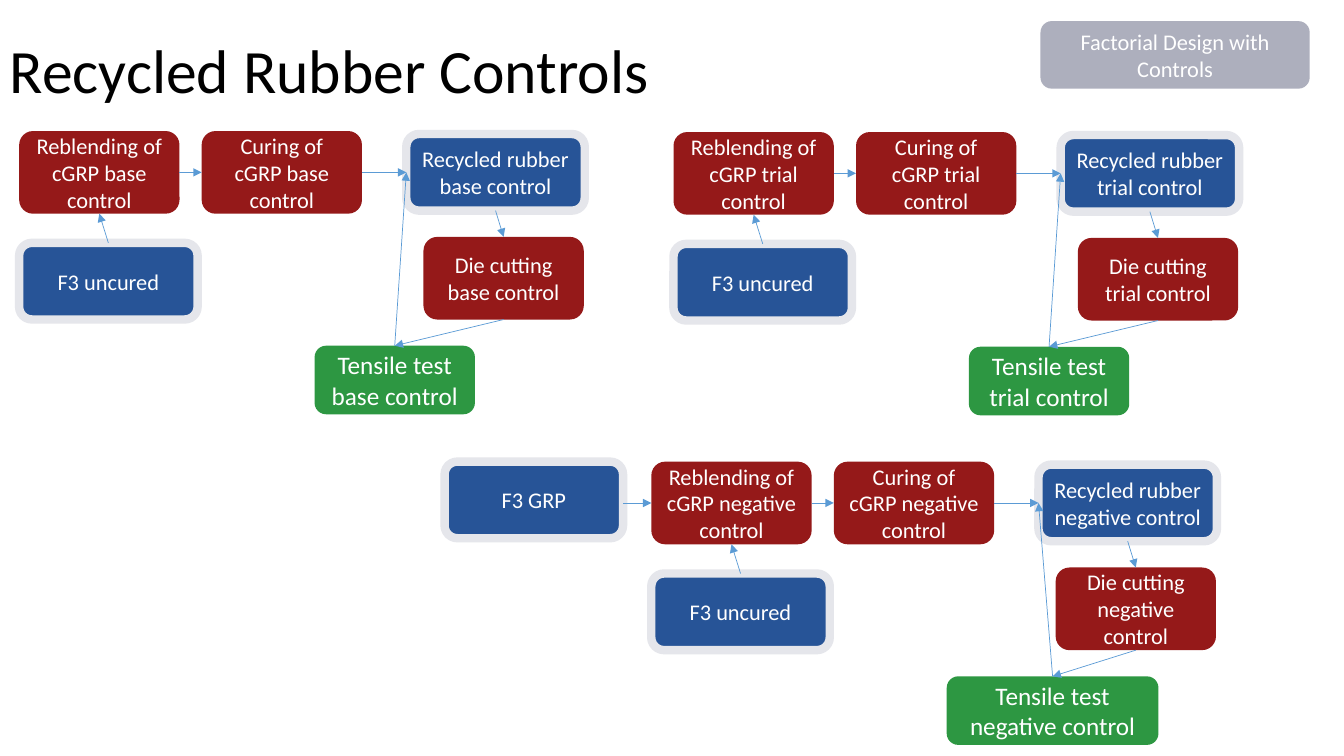
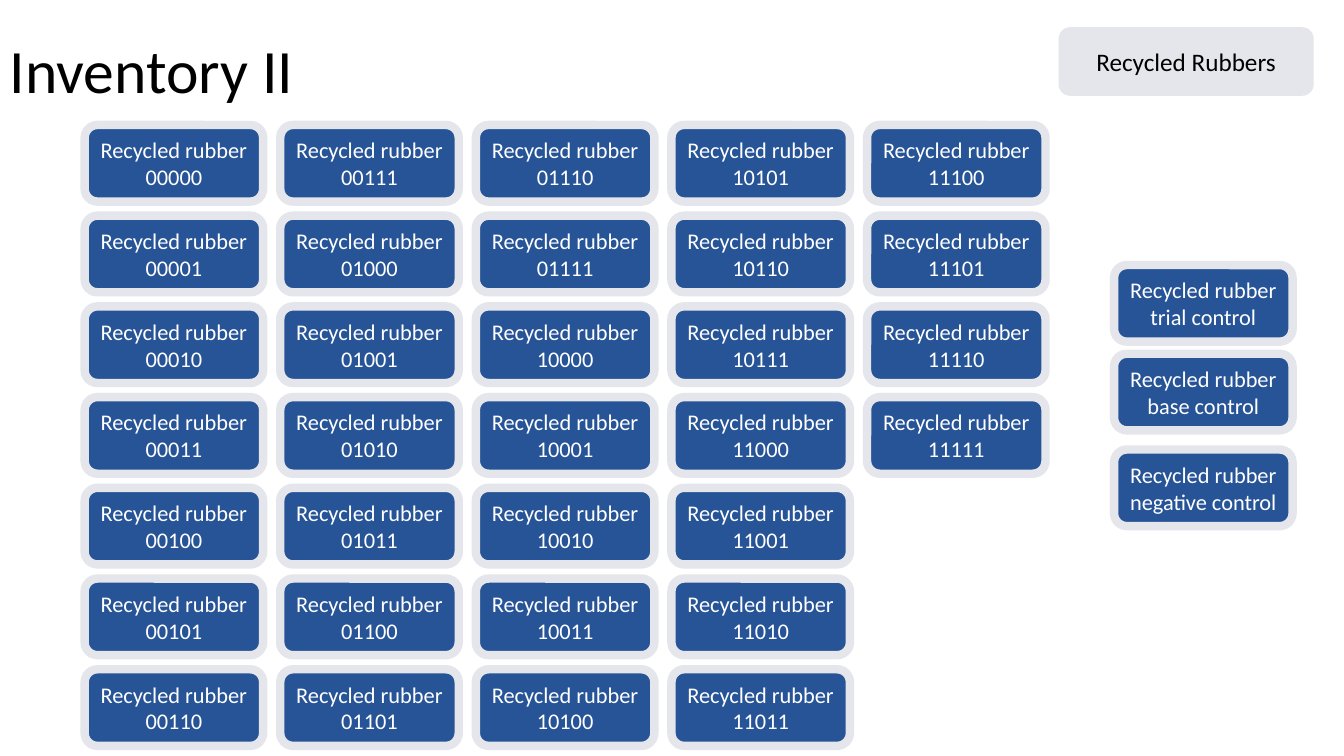
"""Build two slides on recycled rubber: the control process flows and the inventory."""
from lxml.etree import SubElement
from pptx import Presentation
from pptx.dml.color import RGBColor
from pptx.enum.shapes import MSO_CONNECTOR, MSO_SHAPE
from pptx.enum.text import MSO_ANCHOR, PP_ALIGN
from pptx.oxml.ns import qn
from pptx.util import Pt

PX = 9144
FONT = "Calibri"
COLORS = {
    "process": "951919",
    "material": "275497",
    "halo": "E5E6EB",
    "test": "2D9742",
    "design": "ADAFBD",
    "arrow": "5B9BD5",
    "light": "FFFFFF",
    "dark": "000000",
}
TOP, LEFT, BOTTOM, RIGHT = range(4)
PROCESS_SIZE = (159, 82)
MATERIAL_SIZE = (177, 76)


def add_box(page, text, position, size, kind, text_color="light", points=16):
    """Add a rounded box with centred text; materials get a pale halo."""
    box = page.shapes.add_shape(
        MSO_SHAPE.ROUNDED_RECTANGLE, *(value * PX for value in (*position, *size)))
    box.shadow.inherit = False
    box.fill.solid()
    box.fill.fore_color.rgb = RGBColor.from_string(COLORS[kind])
    if kind == "material":
        box.line.color.rgb = RGBColor.from_string(COLORS["halo"])
        box.line.width = Pt(6)
    else:
        box.line.fill.background()
    frame = box.text_frame
    frame.word_wrap = True
    frame.vertical_anchor = MSO_ANCHOR.MIDDLE
    para = frame.paragraphs[0]
    para.text = text
    para.alignment = PP_ALIGN.CENTER
    para.font.name = FONT
    para.font.size = Pt(points)
    para.font.color.rgb = RGBColor.from_string(COLORS[text_color])
    return box


def add_arrow(page, target, target_side, source=None, source_side=TOP, start=(0, 0)):
    """Add an arrow to a box side, from another box side or a free start point."""
    left, top = (value * PX for value in start)
    arrow = page.shapes.add_connector(MSO_CONNECTOR.STRAIGHT, left, top, left, top)
    if source is not None:
        arrow.begin_connect(source, source_side)
    arrow.end_connect(target, target_side)
    arrow.line.color.rgb = RGBColor.from_string(COLORS["arrow"])
    arrow.line.width = Pt(0.5)
    SubElement(arrow.line._get_or_add_ln(), qn("a:tailEnd"), type="triangle")
    SubElement(arrow._element.spPr, qn("a:effectLst"))


deck = Presentation()
deck.slide_width = 1333 * PX
deck.slide_height = 750 * PX

pages = []
for title in ("Recycled Rubber Controls", "Inventory II"):
    page = deck.slides.add_slide(deck.slide_layouts[6])
    title_box = page.shapes.add_textbox(0, 0, 1150 * PX, 145 * PX)
    title_box.text_frame.word_wrap = True
    title_box.text_frame.vertical_anchor = MSO_ANCHOR.MIDDLE
    para = title_box.text_frame.paragraphs[0]
    para.text = title
    para.line_spacing = 0.9
    para.font.name = FONT
    para.font.size = Pt(44)
    para.font.color.rgb = RGBColor.from_string(COLORS["dark"])
    pages.append(page)
controls_page, inventory_page = pages

flows = (
    ("base control", 19, 130, 159),
    ("trial control", 668, 131, 159),
    ("negative control", 646, 458, 210),
)
for control, x, y, test_width in flows:
    reblending = add_box(controls_page, f"Reblending of cGRP {control}",
                         (x, y), PROCESS_SIZE, "process")
    curing = add_box(controls_page, f"Curing of cGRP {control}",
                     (x + 181, y), PROCESS_SIZE, "process")
    uncured = add_box(controls_page, "F3 uncured",
                      (x, y + 111), MATERIAL_SIZE, "material")
    recycled = add_box(controls_page, f"Recycled rubber {control}",
                       (x + 384, y + 3), MATERIAL_SIZE, "material")
    cutting = add_box(controls_page, f"Die cutting {control}",
                      (x + 401, y + 105), PROCESS_SIZE, "process")
    tensile = add_box(controls_page, f"Tensile test {control}",
                      (x + 293, y + 213), (test_width, 68), "test", points=18)
    for source, source_side, target, target_side in (
        (reblending, RIGHT, curing, LEFT),
        (uncured, TOP, reblending, BOTTOM),
        (curing, RIGHT, recycled, LEFT),
        (recycled, BOTTOM, cutting, TOP),
        (cutting, BOTTOM, tensile, TOP),
        (tensile, TOP, recycled, LEFT),
    ):
        add_arrow(controls_page, target, target_side, source, source_side)
    if control == "negative control":
        add_box(controls_page, "F3 GRP", (441, y), MATERIAL_SIZE, "material")
        add_arrow(controls_page, reblending, LEFT, start=(618, y + 41))

add_box(controls_page, "Factorial Design with Controls", (1032, 21), (267, 67), "design")
add_box(inventory_page, "Recycled Rubbers", (1050, 27), (253, 68), "halo", "dark", 18)

for number in range(32):
    column, row = divmod(number, 7)
    add_box(inventory_page, f"Recycled rubber {number:05b}",
            (84 + 194 * column, 124 + 90 * row), MATERIAL_SIZE, "material")

for control, y in (("trial", 263), ("base", 351), ("negative", 446)):
    add_box(inventory_page, f"Recycled rubber {control} control",
            (1105, y), MATERIAL_SIZE, "material")

deck.save("out.pptx")
